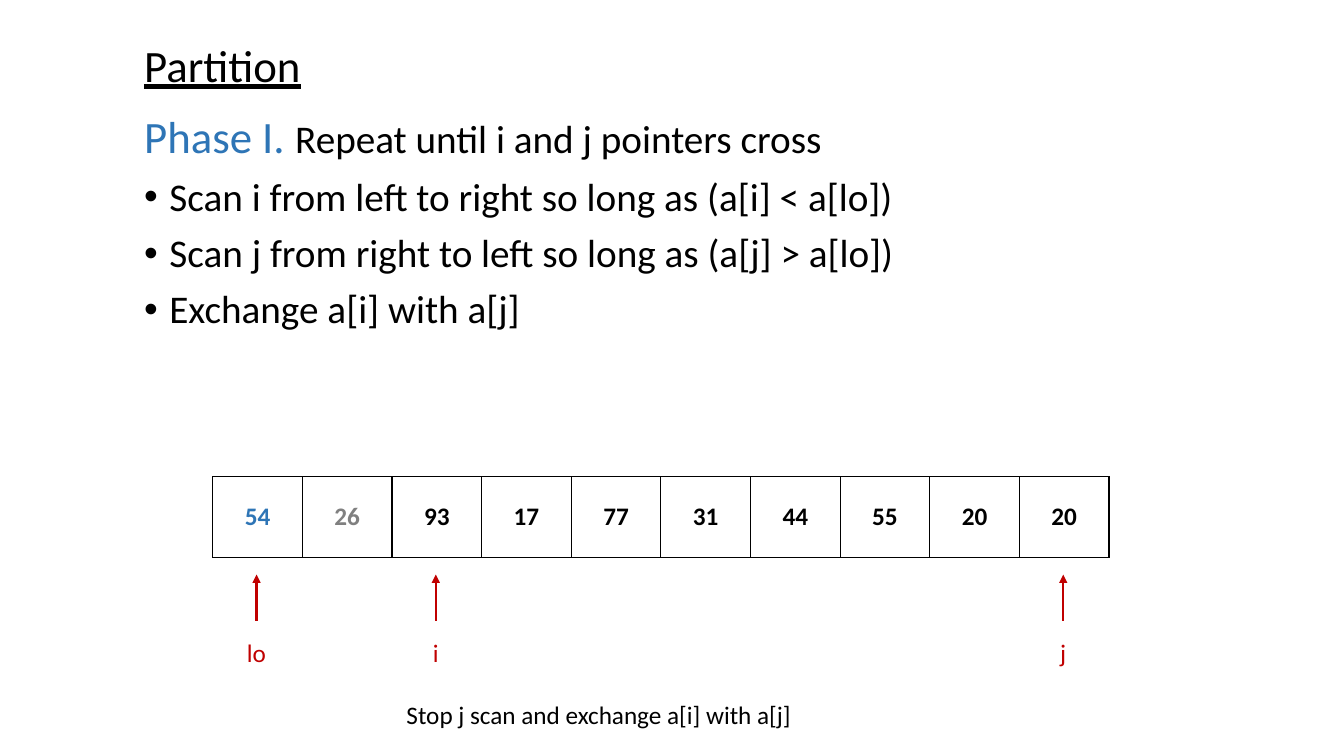
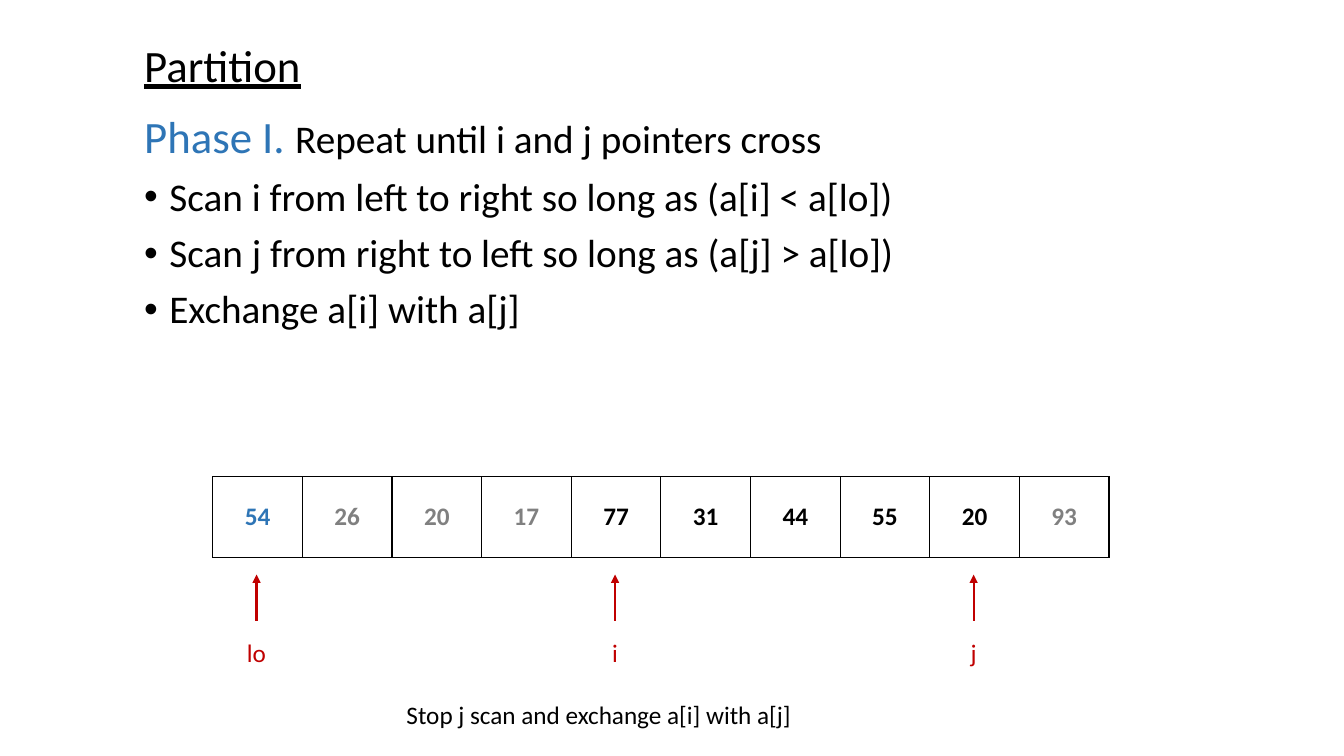
from lxml import etree
from pptx import Presentation
from pptx.dml.color import RGBColor
from pptx.enum.shapes import MSO_CONNECTOR as Connector
from pptx.enum.text import MSO_ANCHOR as Anchor, MSO_AUTO_SIZE as AutoSize, PP_ALIGN as Align
from pptx.oxml import parse_xml
from pptx.oxml.ns import nsdecls, qn
from pptx.util import Inches, Pt

BLACK = RGBColor(0x00, 0x00, 0x00)
WHITE = RGBColor(0xFF, 0xFF, 0xFF)
BLUE = RGBColor(0x2E, 0x75, 0xB6)
GREY = RGBColor(0x80, 0x80, 0x80)
RED = RGBColor(0xC0, 0x00, 0x00)

HEADING = {"name": "Calibri", "size": Pt(32)}
TITLE = {**HEADING, "underline": True}
BODY = {"name": "Calibri", "size": Pt(28)}
LABEL = {"name": "Calibri", "size": Pt(18)}
VALUE = {**LABEL, "bold": True}

TITLE_BOX = (1.33, 0.32, 1.78, 0.64)
BODY_BOX = (1.33, 1.09, 11.5, 4.76)
ARRAY_BOX = (2.11, 4.73, 8.89, 0.8)
CAPTION_BOX = (3.91, 6.89, 4.06, 0.4)
POINTER_TOP = 5.7
POINTER_SHIFT = -0.01

PHASE = ("Phase I. ", "Repeat until i and j pointers cross")
STEPS = (
    "Scan i from left to right so long as (a[i] < a[lo])",
    "Scan j from right to left so long as (a[j] > a[lo])",
    "Exchange a[i] with a[j]",
)
CAPTION = "Stop j scan and exchange a[i] with a[j]"
STAGES = (
    {
        "values": (54, 26, 93, 17, 77, 31, 44, 55, 20, 20),
        "done": {1},
        "pointers": {"lo": 0, "i": 2, "j": 9},
    },
    {
        "values": (54, 26, 20, 17, 77, 31, 44, 55, 20, 93),
        "done": {1, 2, 3, 9},
        "pointers": {"lo": 0, "i": 4, "j": 8},
    },
)


def apply_format(target, values):
    """Set each attribute named in values on the target."""
    for attribute, value in values.items():
        setattr(target, attribute, value)


def add_run(paragraph, text, style, color):
    """Append a run in the given style and colour."""
    run = paragraph.add_run()
    run.text = text
    apply_format(run.font, style)
    run.font.color.rgb = color


def place(placeholder, box):
    """Move a placeholder into a box and return its text frame."""
    names = ("left", "top", "width", "height")
    apply_format(placeholder, dict(zip(names, map(Inches, box))))
    frame = placeholder.text_frame
    apply_format(frame, {"auto_size": AutoSize.NONE, "vertical_anchor": Anchor.TOP})
    return frame


def fill_title(slide, box):
    """Write the underlined title."""
    frame = place(slide.shapes.title, box)
    frame.word_wrap = False
    heading = frame.paragraphs[0]
    heading.alignment = Align.LEFT
    add_run(heading, "Partition", TITLE, BLACK)


def set_bullet(paragraph, bulleted):
    """Give a paragraph a hanging bullet or none."""
    indent = Inches(0.25) if bulleted else 0
    properties = paragraph._p.get_or_add_pPr()
    properties.set("marL", str(indent))
    properties.set("indent", str(-indent))
    if bulleted:
        etree.SubElement(properties, qn("a:buFont")).set("typeface", "Arial")
        etree.SubElement(properties, qn("a:buChar")).set("char", "•")
    else:
        etree.SubElement(properties, qn("a:buNone"))


def fill_body(slide, box):
    """Write the phase line and its steps."""
    frame = place(slide.placeholders[1], box)
    lines = [((PHASE[0], HEADING, BLUE), (PHASE[1], BODY, BLACK))]
    lines += [((step, BODY, BLACK),) for step in STEPS]
    for number, runs in enumerate(lines):
        paragraph = frame.add_paragraph() if number else frame.paragraphs[0]
        apply_format(paragraph, {"line_spacing": 0.9, "space_before": Pt(10)})
        set_bullet(paragraph, number > 0)
        for run in runs:
            add_run(paragraph, *run)


def add_borders(cell):
    """Draw a thin black line on each side of a cell."""
    properties = cell._tc.get_or_add_tcPr()
    for position, side in enumerate(("lnL", "lnR", "lnT", "lnB")):
        border = parse_xml(
            f'<a:{side} {nsdecls("a")} w="{Pt(1)}"><a:solidFill>'
            f'<a:srgbClr val="{BLACK}"/></a:solidFill></a:{side}>'
        )
        properties.insert(position, border)


def add_array(slide, box, values, done):
    """Draw the array as a one-row table with pivot and done items coloured."""
    table = slide.shapes.add_table(1, len(values), *map(Inches, box)).table
    apply_format(table, {"first_row": False, "horz_banding": False})
    for index, value in enumerate(values):
        table.columns[index].width = Inches(box[2] / len(values))
        cell = table.cell(0, index)
        cell.vertical_anchor = Anchor.MIDDLE
        cell.fill.solid()
        cell.fill.fore_color.rgb = WHITE
        add_borders(cell)
        color = BLUE if index == 0 else GREY if index in done else BLACK
        paragraph = cell.text_frame.paragraphs[0]
        paragraph.alignment = Align.CENTER
        add_run(paragraph, str(value), VALUE, color)


def add_label(shapes, box, text, color):
    """Add a centred one-line label."""
    frame = shapes.add_textbox(*map(Inches, box)).text_frame
    frame.word_wrap = False
    paragraph = frame.paragraphs[0]
    paragraph.alignment = Align.CENTER
    add_run(paragraph, text, LABEL, color)


def add_pointer(slide, center, top, name):
    """Draw an upward arrow with its name below."""
    shapes = slide.shapes.add_group_shape().shapes
    ends = (center, top + 0.46, center, top)
    arrow = shapes.add_connector(Connector.STRAIGHT, *map(Inches, ends))
    arrow.line.color.rgb = RED
    arrow.line.width = Pt(1.5)
    etree.SubElement(arrow.line._get_or_add_ln(), qn("a:tailEnd")).set("type", "triangle")
    etree.SubElement(arrow._element.spPr, qn("a:effectLst"))
    add_label(shapes, (center - 0.2, top + 0.57, 0.4, 0.4), name, RED)


def add_partition_slide(deck, values, done, pointers):
    """Build one stage of the partition."""
    slide = deck.slides.add_slide(deck.slide_layouts[1])
    fill_title(slide, TITLE_BOX)
    fill_body(slide, BODY_BOX)
    add_array(slide, ARRAY_BOX, values, done)
    left, _, width, _ = ARRAY_BOX
    for name, index in pointers.items():
        center = left + (index + 0.5) * width / len(values) + POINTER_SHIFT
        add_pointer(slide, center, POINTER_TOP, name)
    add_label(slide.shapes, CAPTION_BOX, CAPTION, BLACK)


def main():
    """Build and save the deck."""
    deck = Presentation()
    apply_format(deck, {"slide_width": Inches(13.33), "slide_height": Inches(7.5)})
    for stage in STAGES:
        add_partition_slide(deck, **stage)
    deck.save("out.pptx")


if __name__ == "__main__":
    main()
